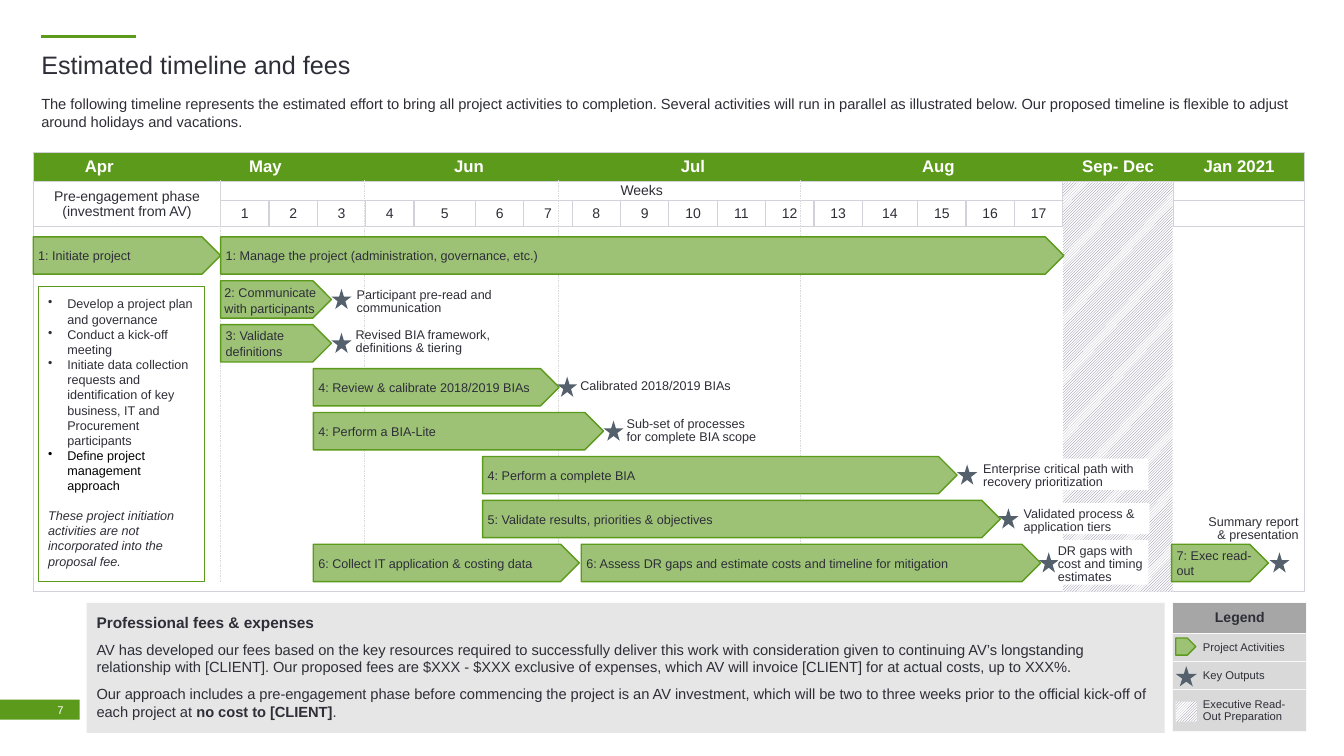
from dataclasses import dataclass
from typing import NamedTuple

from lxml.etree import SubElement
from pptx import Presentation
from pptx.dml.color import RGBColor
from pptx.enum.dml import MSO_LINE, MSO_PATTERN
from pptx.enum.shapes import MSO_CONNECTOR, MSO_SHAPE
from pptx.enum.text import MSO_ANCHOR, PP_ALIGN
from pptx.oxml.ns import qn
from pptx.util import Inches, Pt


@dataclass(frozen=True)
class Theme:
    font: str = "Arial"
    green: str = "5C9A1B"
    bar: str = "9DC276"
    star: str = "54606B"
    ink: str = "2E2E38"
    black: str = "000000"
    white: str = "FFFFFF"
    panel: str = "E6E6E6"
    grid: str = "D2D2DA"
    guide: str = "D9D9D9"
    hatch: str = "797991"
    legend_head: str = "A6A6A6"
    legend_edge: str = "F9F9F9"
    title: float = 18
    month: float = 12
    heading: float = 11
    body: float = 10.5
    table: float = 10
    label: float = 9
    small: float = 8


THEME = Theme()


class Box(NamedTuple):
    left: float
    top: float
    width: float
    height: float

    def inner(self, left, top, width, height):
        return Box(self.left + left, self.top + top, width, height)

    def lengths(self):
        return [Inches(value) for value in self]


def rgb(color):
    return RGBColor.from_string(color)


def apply_format(target, values):
    for name, value in values.items():
        setattr(target, name, value)


def set_margins(target, margins):
    sides = ("margin_left", "margin_top", "margin_right", "margin_bottom")
    apply_format(target, dict(zip(sides, map(Inches, margins))))


def add_runs(paragraph, runs, size, color=THEME.ink, **font_values):
    """Runs are a string, or a list of (text, bold) pairs."""
    for text, bold in [(runs, False)] if isinstance(runs, str) else runs:
        run = paragraph.add_run()
        run.text = text
        apply_format(run.font, {"name": THEME.font, "size": Pt(size), "bold": bold, **font_values})
        run.font.color.rgb = rgb(color)


def write(shape, runs, size, color=THEME.ink, margins=(0, 0, 0, 0),
          anchor=MSO_ANCHOR.TOP, **paragraph_values):
    frame = shape.text_frame
    apply_format(frame, {"word_wrap": True, "vertical_anchor": anchor})
    set_margins(frame, margins)
    paragraph = frame.paragraphs[0]
    apply_format(paragraph, {"alignment": PP_ALIGN.LEFT, **paragraph_values})
    add_runs(paragraph, runs, size, color)
    return frame


def add_box(slide, box, fill=None, edge=None, edge_width=1, kind=MSO_SHAPE.RECTANGLE):
    shape = slide.shapes.add_shape(kind, *box.lengths())
    shape.shadow.inherit = False
    if fill:
        shape.fill.solid()
        shape.fill.fore_color.rgb = rgb(fill)
    else:
        shape.fill.background()
    if edge:
        shape.line.color.rgb = rgb(edge)
        shape.line.width = Pt(edge_width)
    else:
        shape.line.fill.background()
    return shape


def add_bar(slide, box):
    return add_box(slide, box, THEME.bar, THEME.green, kind=MSO_SHAPE.PENTAGON)


def add_star(slide, box):
    return add_box(slide, box, THEME.star, kind=MSO_SHAPE.STAR_5_POINT)


def add_hatch(slide, box):
    fill = add_box(slide, box).fill
    fill.patterned()
    fill.pattern = MSO_PATTERN.LIGHT_UPWARD_DIAGONAL
    fill.fore_color.rgb = rgb(THEME.hatch)
    fill.back_color.rgb = rgb(THEME.white)


def add_line(slide, start, end, color, width, dash=None):
    line = slide.shapes.add_connector(MSO_CONNECTOR.STRAIGHT, *map(Inches, start + end))
    line.line.color.rgb = rgb(color)
    apply_format(line.line, {"width": Pt(width), "dash_style": dash})
    SubElement(line._element.spPr, qn("a:effectLst"))


def format_cell(cell, fill, edge, edge_width, sides="LRTB", margins=(0, 0, 0, 0)):
    properties = cell._tc.get_or_add_tcPr()
    for side in "LRTB":
        border = SubElement(properties, qn(f"a:ln{side}"), w=str(Pt(edge_width)))
        if side in sides:
            SubElement(SubElement(border, qn("a:solidFill")), qn("a:srgbClr"), val=edge)
        else:
            SubElement(border, qn("a:noFill"))
    if fill:
        cell.fill.solid()
        cell.fill.fore_color.rgb = rgb(fill)
    else:
        cell.fill.background()
    cell.vertical_anchor = MSO_ANCHOR.MIDDLE
    set_margins(cell, margins)
    SubElement(cell.text_frame.paragraphs[0]._p, qn("a:endParaRPr"), sz=str(THEME.small * 100))


def add_table(slide, box, columns, rows):
    table = slide.shapes.add_table(len(rows), len(columns), *box.lengths()).table
    apply_format(table, {"first_row": False, "horz_banding": False})
    for column, width in zip(table.columns, columns):
        column.width = Inches(width)
    for row, height in zip(table.rows, rows):
        row.height = Inches(height)
    return table


def fill_cell(cell, lines, size, color=THEME.ink, alignment=PP_ALIGN.CENTER, bold=False):
    for index, line in enumerate(lines):
        paragraph = cell.text_frame.add_paragraph() if index else cell.text_frame.paragraphs[0]
        paragraph.alignment = alignment
        add_runs(paragraph, [(line, bold)], size, color)


def build_header(slide, box):
    add_line(slide, (box.left, 0.36), (box.left + 0.94, 0.36), THEME.green, 2.25)
    title = slide.shapes.title
    apply_format(title, dict(zip(("left", "top", "width", "height"),
                                 box.inner(0, 0, 11.68, 0.42).lengths())))
    write(title, "Estimated timeline and fees", THEME.title)
    intro = slide.shapes.add_textbox(*box.inner(0, 0.45, 12.8, 0.56).lengths())
    write(intro, "The following timeline represents the estimated effort to bring all project activities "
          "to completion. Several activities will run in parallel as illustrated below. Our proposed "
          "timeline is flexible to adjust around holidays and vacations.", THEME.body)


def build_calendar(slide, box):
    weeks = [0.48] * 17
    weeks[4], weeks[13] = 0.61, 0.55
    table = add_table(slide, box, [1.31, 0.55, *weeks, 1.1, 1.3], [0.29, 0.19, 0.26, 3.62])
    for row in range(4):
        for column in range(21):
            sides = "LRTB" if row else "TB" + {0: "L", 20: "R"}.get(column, "")
            format_cell(table.cell(row, column), None if row else THEME.green, THEME.grid, 1, sides)
    for row, column, last_row, last_column in [(0, 1, 0, 4), (0, 5, 0, 8), (0, 9, 0, 13), (0, 14, 0, 18),
                                               (1, 0, 2, 1), (1, 2, 1, 18), (3, 0, 3, 20)]:
        table.cell(row, column).merge(table.cell(last_row, last_column))
    months = {0: "Apr", 1: "May", 5: "Jun", 9: "Jul", 14: "Aug", 19: "Sep- Dec", 20: "Jan 2021"}
    for column, month in months.items():
        fill_cell(table.cell(0, column), [month], THEME.month, THEME.white, bold=True)
    fill_cell(table.cell(1, 0), ["Pre-engagement phase", "(investment from AV)"], THEME.table)
    fill_cell(table.cell(1, 2), ["Weeks"], THEME.table)
    for week in range(1, 18):
        fill_cell(table.cell(2, week + 1), [str(week)], THEME.table)
    # Executive read-out period and month guides
    add_hatch(slide, box.inner(10.22, 0.3, 1.09, 4.06))
    for offset, end in [(1.86, 4.26), (3.29, 4.13), (5.21, 4.26), (7.61, 4.13)]:
        x = box.left + offset
        add_line(slide, (x, box.top + 0.28), (x, box.top + end), THEME.guide, 0.25, MSO_LINE.DASH)


def build_activities(slide, box):
    def lane_top(lane):
        return 0.84 + lane * 3.05 / 7

    # Activity bars: lane, left, width, text
    for lane, left, width, text in [
            (0, 0, 1.86, "1: Initiate project"),
            (0, 1.86, 8.37, "1: Manage the project (administration, governance, etc.)"),
            (1, 1.86, 1.1, ""),
            (2, 1.86, 1.1, "3: Validate definitions"),
            (3, 2.78, 2.44, "4: Review & calibrate 2018/2019 BIAs"),
            (4, 2.78, 2.88, "4: Perform a BIA-Lite"),
            (5, 4.46, 4.71, "4: Perform a complete BIA"),
            (6, 4.46, 5.14, "5: Validate results, priorities & objectives"),
            (7, 2.78, 2.64, "6: Collect IT application & costing data"),
            (7, 5.44, 4.56, "6: Assess DR gaps and estimate costs and timeline for mitigation"),
            (7, 11.3, 0.96, "7: Exec read-out")]:
        bar = add_bar(slide, box.inner(left, lane_top(lane), width, 0.37))
        if text:
            write(bar, text, THEME.label, margins=[0.05] * 4, anchor=MSO_ANCHOR.MIDDLE, line_spacing=Pt(11))
    wide_label = slide.shapes.add_textbox(*box.inner(1.8, 1.27, 1.33, 0.4).lengths())
    write(wide_label, "2: Communicate with participants", THEME.label,
          margins=(0.1, 0.05, 0.1, 0.05), line_spacing=Pt(11))
    # Key outputs: lane, star left, label box, white backing, text
    for lane, star_left, label_box, backed, text in [
            (1, 2.96, (3.21, 1.36, 1.81, 0.26), False, "Participant pre-read and communication"),
            (2, 2.96, (3.2, 1.76, 1.81, 0.26), False, "Revised BIA framework, definitions & tiering"),
            (3, 5.2, (5.43, 2.26, 1.9, 0.13), False, "Calibrated 2018/2019 BIAs"),
            (4, 5.66, (5.89, 2.64, 1.34, 0.26), False, "Sub-set of processes for complete BIA scope"),
            (5, 9.17, (9.43, 3.04, 1.64, 0.31), True, "Enterprise critical path with recovery prioritization"),
            (6, 9.58, (9.83, 3.48, 1.25, 0.31), True, "Validated process & application tiers"),
            (7, 9.98, (10.17, 3.85, 0.9, 0.44), True, "DR gaps with cost and timing estimates"),
            (7, 12.27, (11.6, 3.61, 0.96, 0.26), False, "Summary report & presentation")]:
        add_star(slide, box.inner(star_left, lane_top(lane) + 0.08, 0.2, 0.2))
        place = box.inner(*label_box)
        label = add_box(slide, place, THEME.white) if backed else slide.shapes.add_textbox(*place.lengths())
        write(label, text, THEME.label, margins=(0, 0.05 * backed, 0, 0), line_spacing=0.85,
              alignment=PP_ALIGN.RIGHT if star_left > 12 else PP_ALIGN.LEFT)


def build_initiation(slide, box):
    shape = add_box(slide, box, edge=THEME.green, edge_width=0.75)
    items = [("Develop a project plan and governance", THEME.ink),
             ("Conduct a kick-off meeting", THEME.ink),
             ("Initiate data collection requests and identification of key business, "
              "IT and Procurement participants", THEME.ink),
             ("Define project management approach", THEME.black)]
    frame = write(shape, [], THEME.label, margins=[0.1] * 4)
    for index, (text, color) in enumerate(items):
        paragraph = frame.add_paragraph() if index else frame.paragraphs[0]
        paragraph.alignment = PP_ALIGN.LEFT
        properties = paragraph._p.get_or_add_pPr()
        properties.set("marL", str(Inches(0.19)))
        properties.set("indent", str(-Inches(0.19)))
        SubElement(properties, qn("a:buChar"), char="•")
        add_runs(paragraph, text, THEME.label, color)
    note = frame.add_paragraph()
    apply_format(note, {"alignment": PP_ALIGN.LEFT, "space_before": Pt(10.4)})
    add_runs(note, "These project initiation activities are not incorporated into the proposal fee.",
             THEME.label, italic=True)


def build_fees(slide, box):
    panel = add_box(slide, box, THEME.panel)
    frame = write(panel, [("Professional fees & expenses", True)], THEME.heading,
                  margins=[0.1] * 4, space_after=Pt(4))
    for runs in [
            "AV has developed our fees based on the key resources required to successfully deliver this work "
            "with consideration given to continuing AV’s longstanding relationship with [CLIENT]. Our proposed "
            "fees are $XXX - $XXX exclusive of expenses, which AV will invoice [CLIENT] for at actual costs, "
            "up to XXX%.",
            [("Our approach includes a pre-engagement phase before commencing the project is an AV investment, "
              "which will be two to three weeks prior to the official kick-off of each project at ", False),
             ("no cost to [CLIENT]", True), (".", False)]]:
        paragraph = frame.add_paragraph()
        apply_format(paragraph, {"alignment": PP_ALIGN.LEFT, "space_before": Pt(2.5), "space_after": Pt(4)})
        add_runs(paragraph, runs, THEME.body)


def build_legend(slide, box):
    table = add_table(slide, box, [box.width], [0.3, 0.28, 0.28, 0.42])
    entries = ["Legend", "Project Activities", "Key Outputs", "Executive Read-Out Preparation"]
    for row, text in enumerate(entries):
        cell = table.cell(row, 0)
        format_cell(cell, THEME.guide if row else THEME.legend_head, THEME.legend_edge, 0.75,
                    margins=(0.3 if row else 0.1, 0.05, 0.1, 0.05))
        fill_cell(cell, [text], THEME.small if row else THEME.table, bold=not row,
                  alignment=PP_ALIGN.LEFT if row else PP_ALIGN.CENTER)
    add_bar(slide, box.inner(0.03, 0.35, 0.2, 0.17))
    add_star(slide, box.inner(0.03, 0.63, 0.21, 0.2))
    add_hatch(slide, box.inner(0.03, 0.98, 0.21, 0.2))


def build_page_number(slide, box):
    add_box(slide, box, THEME.green)
    number = slide.shapes.add_textbox(*box.inner(0.41, 0, 0.38, box.height).lengths())
    write(number, "7", THEME.small, THEME.white, anchor=MSO_ANCHOR.MIDDLE, alignment=PP_ALIGN.CENTER)


def main():
    presentation = Presentation()
    apply_format(presentation, {"slide_width": Inches(13.34), "slide_height": Inches(7.5)})
    slide = presentation.slides.add_slide(presentation.slide_layouts[5])
    timeline = Box(0.33, 1.51, 12.61, 4.37)
    build_page_number(slide, Box(0, 6.94, 0.79, 0.2))
    build_header(slide, Box(0.41, 0.49, 12.8, 1.01))
    build_calendar(slide, timeline)
    build_activities(slide, timeline)
    build_initiation(slide, timeline.inner(0.05, 1.33, 1.65, 2.93))
    build_fees(slide, Box(0.86, 5.98, 10.7, 1.29))
    build_legend(slide, Box(11.64, 5.98, 1.33, 1.29))
    presentation.save("out.pptx")


if __name__ == "__main__":
    main()
